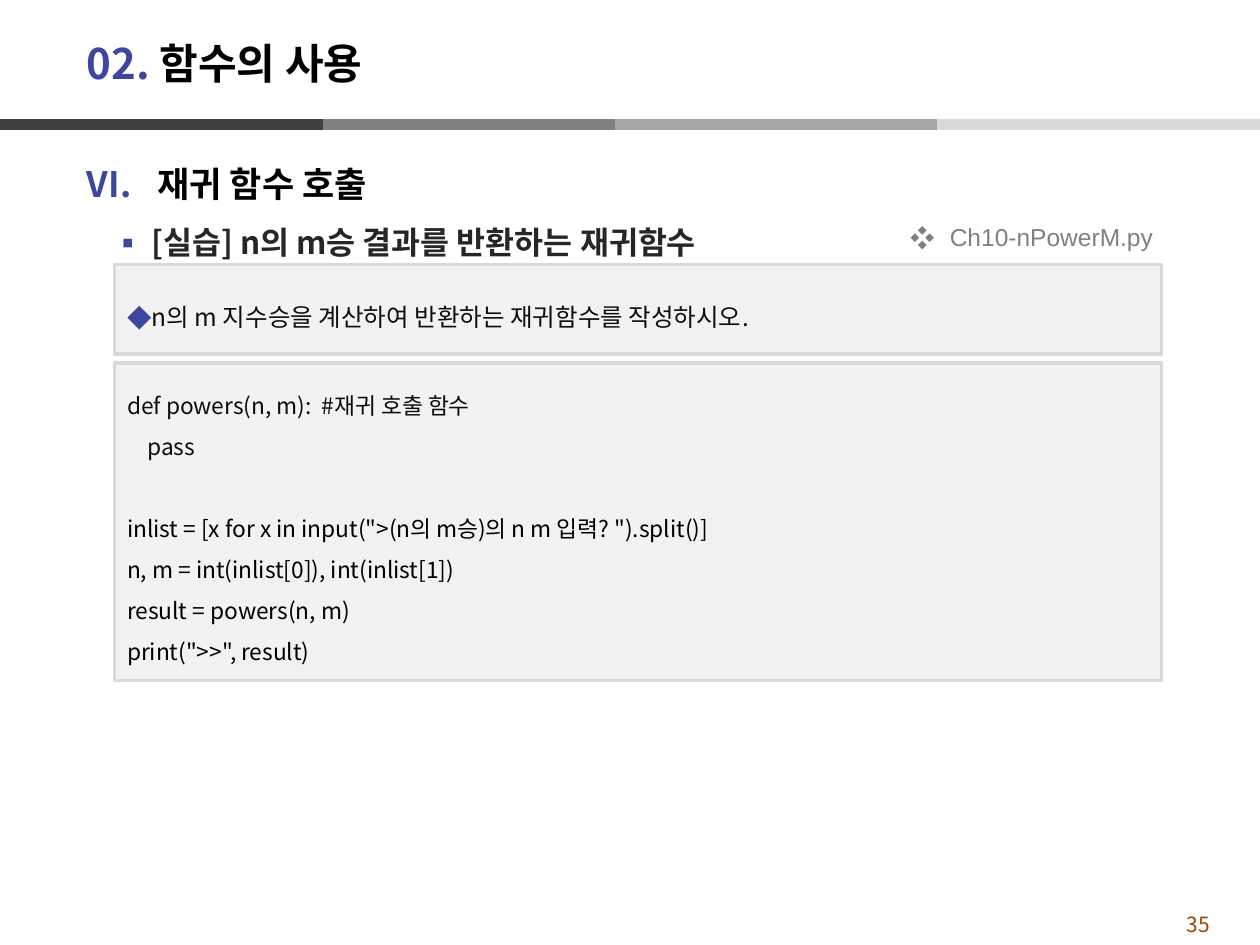
"""Build the slide on the recursive function exercise for n to the power m."""
import pptx
import pptx.dml.color
import pptx.enum.shapes
import pptx.enum.text
import pptx.oxml.ns
import pptx.util
from lxml import etree
from pptx.util import Inches, Pt

THEME = {
    "korean": "Noto Sans CJK KR", "latin": "Arial",
    "accent": "3C479D", "black": "000000", "heading": "262626", "text": "0D0D0D",
    "panel": "F2F2F2", "border": "D9D9D9", "file": "808080", "number": "984807",
    "bars": ["808080", "A6A6A6", "D9D9D9", "404040"],
    "title_size": 24, "section_size": 20, "topic_size": 18,
    "task_size": 14, "code_size": 13, "number_size": 12,
}
qn = pptx.oxml.ns.qn
rgb = pptx.dml.color.RGBColor.from_string
ALIGN = pptx.enum.text.PP_ALIGN
MIDDLE = pptx.enum.text.MSO_ANCHOR.MIDDLE


def write(paragraph, wording, color, size, bold=False, face="korean"):
    run = paragraph.add_run()
    run.text = wording
    formats = {"name": THEME[face], "size": Pt(THEME[size]), "bold": bold}
    for attribute, value in formats.items():
        setattr(run.font, attribute, value)
    run.font.color.rgb = rgb(THEME[color])
    etree.SubElement(run.font._element, qn("a:ea"), typeface=THEME["korean"])


def mark(paragraph, margin, indent, color, tag, **bullet):
    properties = paragraph._p.get_or_add_pPr()
    properties.set("marL", str(Inches(margin)))
    properties.set("indent", str(Inches(indent)))
    tint = etree.SubElement(properties, qn("a:buClr"))
    etree.SubElement(tint, qn("a:srgbClr"), val=THEME[color])
    etree.SubElement(properties, qn("a:buFont"), typeface=THEME["korean"])
    etree.SubElement(properties, qn(tag), **bullet)


deck = pptx.Presentation()
deck.slide_width, deck.slide_height = Inches(10), Inches(7.5)
slide = deck.slides.add_slide(deck.slide_layouts[1])
shapes = slide.shapes

for start, color in zip([2.32, 4.88, 7.44, 0], THEME["bars"]):
    bar = shapes.add_connector(pptx.enum.shapes.MSO_CONNECTOR.STRAIGHT,
                               Inches(start), Inches(0.99), Inches(start + 2.56), Inches(0.99))
    bar.line.color.rgb = rgb(color)
    bar.line.width = Pt(6)
    etree.SubElement(bar._element.spPr, qn("a:effectLst"))

title, body = shapes.title, slide.placeholders[1]
for holder, box in [(title, (0.59, 0.2, 8.74, 0.6)), (body, (0.59, 1.07, 9.06, 5.99))]:
    holder.left, holder.top, holder.width, holder.height = map(Inches, box)
    holder.text_frame.auto_size = pptx.enum.text.MSO_AUTO_SIZE.NONE

title.text_frame.vertical_anchor = MIDDLE
heading = title.text_frame.paragraphs[0]
heading.alignment = ALIGN.LEFT
write(heading, "02. ", "accent", "title_size", True)
write(heading, "함수의 사용", "black", "title_size", True)

section = body.text_frame.paragraphs[0]
topic = body.text_frame.add_paragraph()
topic.level = 1
for item in (section, topic):
    item.line_spacing = 1.5
    item.space_before = Pt(0)
mark(section, 0.56, -0.56, "accent", "a:buAutoNum", type="romanUcPeriod", startAt="6")
write(section, "재귀 함수 호출", "black", "section_size", True)
mark(topic, 0.51, -0.31, "accent", "a:buChar", char="▪")
write(topic, "[실습] n의 m승 결과를 반환하는 재귀함수", "heading", "topic_size", True)

code_lines = [
    ("def powers(n, m):  #재귀 호출 함수", "text"),
    ("    pass", "text"),
    ("", "text"),
    ('inlist = [x for x in input(">(n의 m승)의 n m 입력? ").split()]', "black"),
    ("n, m = int(inlist[0]), int(inlist[1])", "black"),
    ("result = powers(n, m)", "black"),
    ('print(">>", result)', "black"),
]
task_lines = [("n의 m 지수승을 계산하여 반환하는 재귀함수를 작성하시오.", "text")]
for top, height, lines, size in [(2.88, 2.52, code_lines, "code_size"),
                                 (2.1, 0.71, task_lines, "task_size")]:
    panel = shapes.add_shape(pptx.enum.shapes.MSO_SHAPE.RECTANGLE,
                             Inches(0.91), Inches(top), Inches(8.31), Inches(height))
    panel.shadow.inherit = False
    panel.fill.solid()
    panel.fill.fore_color.rgb = rgb(THEME["panel"])
    panel.line.color.rgb = rgb(THEME["border"])
    panel.line.width = Pt(2)
    frame = panel.text_frame
    frame.word_wrap = True
    frame.vertical_anchor = MIDDLE
    for index, (wording, color) in enumerate(lines):
        line = frame.add_paragraph() if index else frame.paragraphs[0]
        line.alignment = ALIGN.LEFT
        line.line_spacing = 1.5
        if lines is task_lines:
            mark(line, 0.1, -0.31, "accent", "a:buChar", char="◆")
        write(line, wording, color, size)

file_label = shapes.add_textbox(Inches(7.13), Inches(1.65), Inches(2.2), Inches(0.46)).text_frame
file_label.word_wrap = False
file_label.vertical_anchor = MIDDLE
mark(file_label.paragraphs[0], 0.31, -0.31, "file", "a:buChar", char="❖")
write(file_label.paragraphs[0], "Ch10-nPowerM.py", "file", "task_size", face="latin")

page_number = shapes.add_textbox(Inches(9.05), Inches(7.22), Inches(0.92), Inches(0.23)).text_frame
page_number.word_wrap = True
page_number.vertical_anchor = MIDDLE
page_number.paragraphs[0].alignment = ALIGN.CENTER
write(page_number.paragraphs[0], "35", "number", "number_size")

deck.save("out.pptx")
